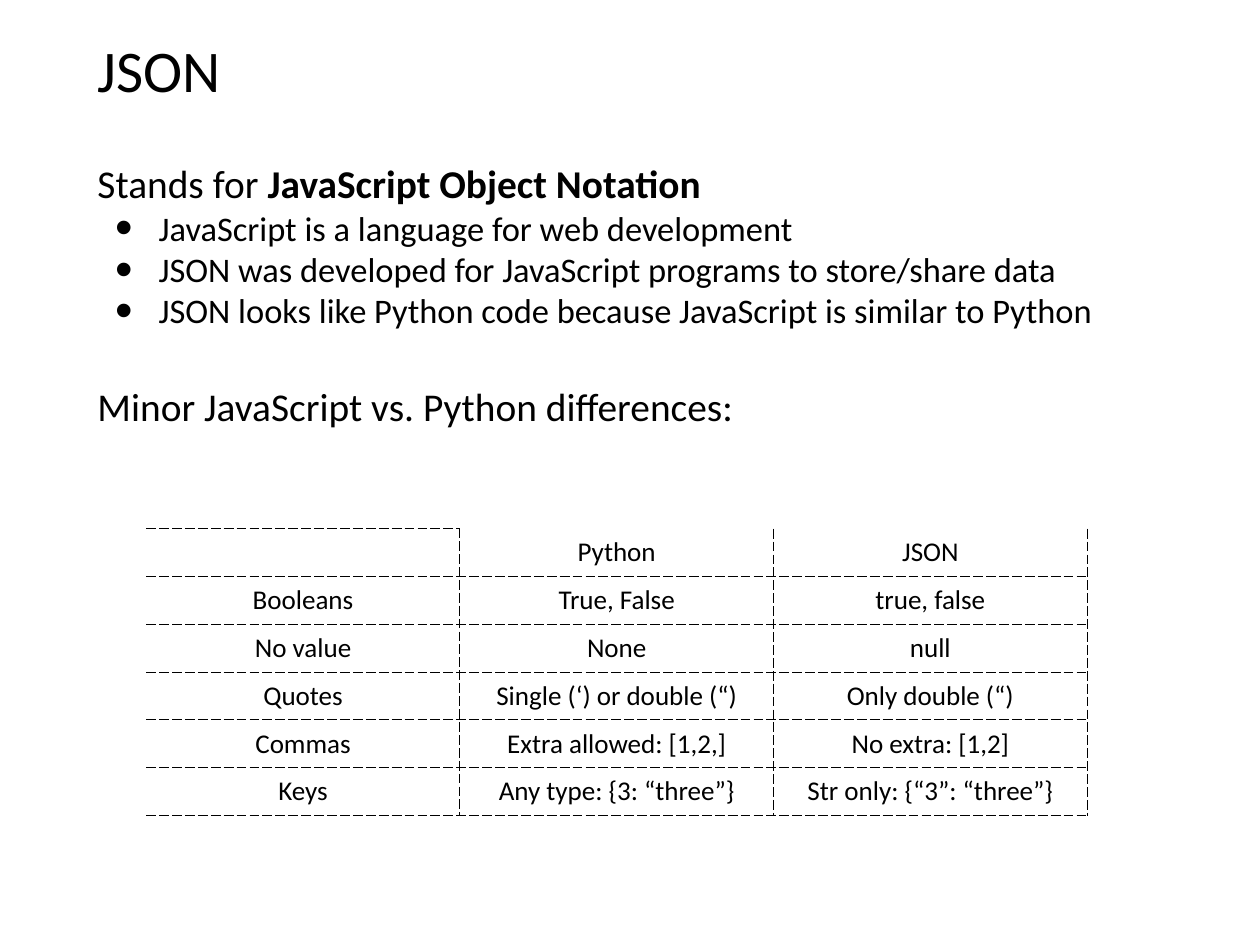
from lxml.etree import SubElement
from pptx import Presentation
from pptx.dml.color import RGBColor
from pptx.enum.text import MSO_ANCHOR, MSO_AUTO_SIZE, PP_ALIGN
from pptx.oxml.ns import qn
from pptx.util import Inches, Pt

BLACK = RGBColor(0, 0, 0)

COMPARISON = [
    ("", "Python", "JSON"),
    ("Booleans", "True, False", "true, false"),
    ("No value", "None", "null"),
    ("Quotes", "Single (‘) or double (“)", "Only double (“)"),
    ("Commas", "Extra allowed: [1,2,]", "No extra: [1,2]"),
    ("Keys", "Any type: {3: “three”}", "Str only: {“3”: “three”}"),
]


class SlideBuilder:
    font = "Calibri"
    inset = Inches(0.06)

    def __init__(self, slide):
        self.slide = slide

    def style_runs(self, para, size):
        for span in para.runs:
            span.font.name = self.font
            span.font.size = Pt(size)
            span.font.color.rgb = BLACK

    def set_insets(self, target):
        target.margin_left = target.margin_right = self.inset
        target.margin_top = target.margin_bottom = self.inset

    def place(self, box, left, top, width, height, anchor):
        box.left, box.top = Inches(left), Inches(top)
        box.width, box.height = Inches(width), Inches(height)
        frame = box.text_frame
        frame.word_wrap = True
        frame.auto_size = MSO_AUTO_SIZE.NONE
        frame.vertical_anchor = anchor
        self.set_insets(frame)
        return frame

    def title(self, text, *position):
        frame = self.place(self.slide.shapes.title, *position, MSO_ANCHOR.MIDDLE)
        frame.text = text
        frame.paragraphs[0].alignment = PP_ALIGN.LEFT
        self.style_runs(frame.paragraphs[0], 48)

    def body(self, items, *position):
        frame = self.place(self.slide.placeholders[1], *position, MSO_ANCHOR.TOP)
        frame.text = "\n".join(text for text, _ in items)
        for index, (para, (_, bulleted)) in enumerate(zip(frame.paragraphs, items)):
            para.space_before = Pt(42 if index and not bulleted else 0)
            self.set_bullet(para, bulleted)
            self.style_runs(para, 28 if bulleted else 32)
        return frame

    def set_bullet(self, para, bulleted):
        properties = para._p.get_or_add_pPr()
        properties.set("marL", str(Inches(0.69) if bulleted else 0))
        properties.set("indent", str(Inches(-0.49) if bulleted else 0))
        if bulleted:
            SubElement(properties, qn("a:buSzPct"), val="145000")
            SubElement(properties, qn("a:buFont"), typeface="Arial")
            SubElement(properties, qn("a:buChar"), char="•")
        else:
            SubElement(properties, qn("a:buNone"))

    def add_bold(self, para, text, size):
        para.add_run().text = text
        self.style_runs(para, size)
        para.runs[-1].font.bold = True

    def set_borders(self, cell, visible):
        properties = cell._tc.get_or_add_tcPr()
        for side in ("L", "R", "T", "B"):
            line = SubElement(properties, qn(f"a:ln{side}"), w=str(Pt(1)))
            if side in visible:
                fill = SubElement(line, qn("a:solidFill"))
                SubElement(fill, qn("a:srgbClr"), val=str(BLACK))
                SubElement(line, qn("a:prstDash"), val="dash")
            else:
                SubElement(line, qn("a:noFill"))

    def table(self, rows, left, top, column_width, row_height):
        count = len(rows[0])
        table = self.slide.shapes.add_table(
            len(rows), count, Inches(left), Inches(top),
            Inches(column_width * count), Inches(row_height * len(rows))).table
        table.first_row = table.horz_banding = False
        for column in table.columns:
            column.width = Inches(column_width)
        for row_index, values in enumerate(rows):
            table.rows[row_index].height = Inches(row_height)
            for column_index, value in enumerate(values):
                cell = table.cell(row_index, column_index)
                cell.text = value
                cell.vertical_anchor = MSO_ANCHOR.MIDDLE
                self.set_insets(cell)
                para = cell.text_frame.paragraphs[0]
                para.alignment = PP_ALIGN.CENTER
                self.style_runs(para, 22)
                # The left edge and most of the top edge stay open
                visible = "RB"
                visible += "L" if column_index else ""
                visible += "T" if row_index or not column_index else ""
                self.set_borders(cell, visible)
                cell.fill.background()


def main():
    deck = Presentation()
    deck.slide_width, deck.slide_height = Inches(14.22), Inches(10.67)
    page = SlideBuilder(deck.slides.add_slide(deck.slide_layouts[1]))

    # Title
    page.title("JSON", 1.04, 0.28, 12.14, 0.99)

    # Explanation: each line with whether it has a bullet
    frame = page.body([
        ("Stands for ", False),
        ("JavaScript is a language for web development", True),
        ("JSON was developed for JavaScript programs to store/share data", True),
        ("JSON looks like Python code because JavaScript is similar to Python", True),
        ("Minor JavaScript vs. Python differences:", False),
    ], 1.04, 1.74, 12.14, 8.45)
    page.add_bold(frame.paragraphs[0], "JavaScript Object Notation", 32)

    # Comparison table
    page.table(COMPARISON, 1.65, 5.97, 3.54, 0.54)

    deck.save("out.pptx")


if __name__ == "__main__":
    main()
